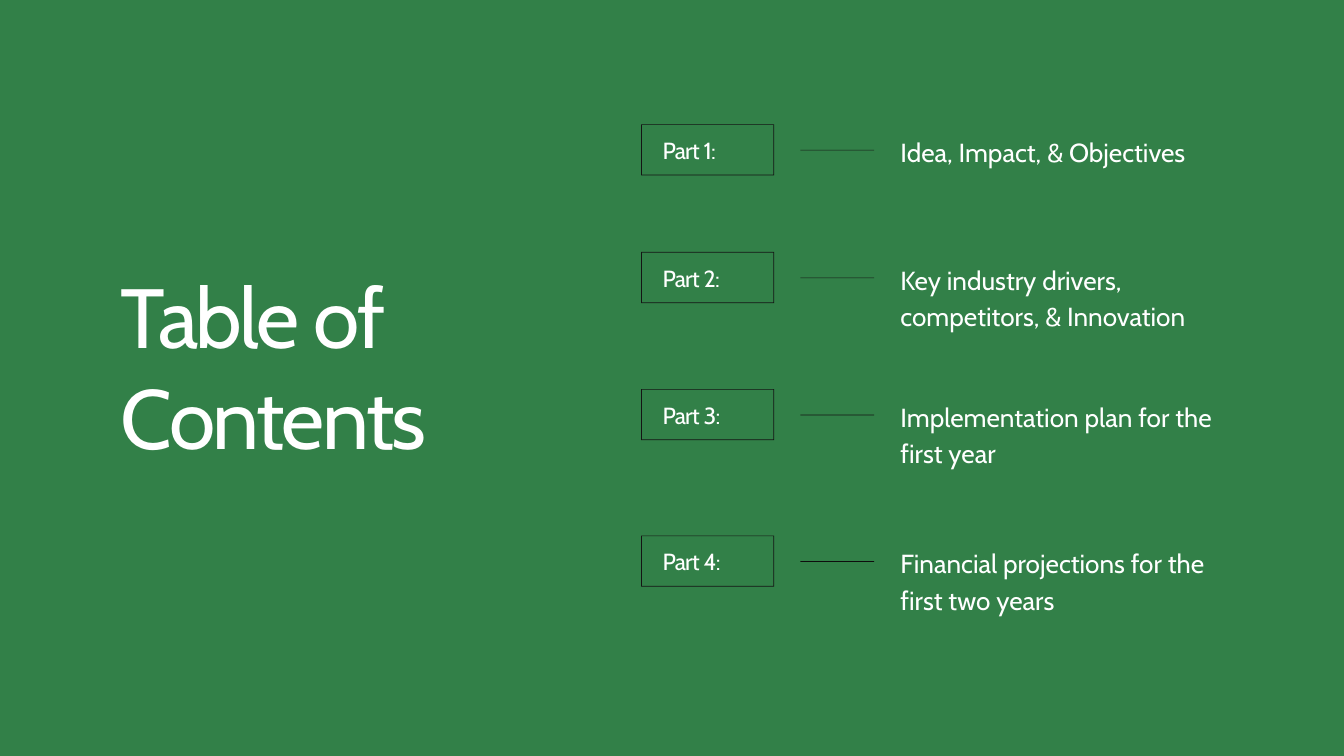
from pptx import Presentation
from pptx.dml.color import RGBColor
from pptx.enum.shapes import MSO_SHAPE
from pptx.enum.text import MSO_AUTO_SIZE
from pptx.util import Pt

PX = 9144  # EMU per px, 100 px to the inch
FONT = "Cabin"
GREEN, WHITE, INK = "328048", "FFFFFF", "141414"


def rgb(value):
    return RGBColor.from_string(value)


class Deck:
    def __init__(self, width, height, background):
        self.prs = Presentation()
        self.prs.slide_width, self.prs.slide_height = width * PX, height * PX
        self.s = self.prs.slides.add_slide(self.prs.slide_layouts[6])
        fill = self.s.background.fill
        fill.solid()
        fill.fore_color.rgb = rgb(background)

    def group(self):
        return self.s.shapes.add_group_shape().shapes

    def paint(self, sp, color):
        sp.shadow.inherit = False
        sp.fill.solid()
        sp.fill.fore_color.rgb = rgb(color)
        sp.line.fill.background()

    def text(self, shapes, x, y, w, h, words, size, leading, spacing=0):
        tf = shapes.add_textbox(x * PX, y * PX, w * PX, h * PX).text_frame
        tf.word_wrap = True
        tf.auto_size = MSO_AUTO_SIZE.SHAPE_TO_FIT_TEXT
        tf.margin_left = tf.margin_top = tf.margin_right = tf.margin_bottom = 0
        p = tf.paragraphs[0]
        p.line_spacing = Pt(leading)
        r = p.add_run()
        r.text = words
        r.font.name, r.font.size = FONT, Pt(size)
        r.font.color.rgb = rgb(WHITE)
        if spacing:
            r._r.get_or_add_rPr().set("spc", str(round(spacing * 100)))

    def frame(self, shapes, x, y, w, h, color):
        # The inner contour runs the other way round, so it cuts a hole
        right, bottom = x + w, y + h
        fb = shapes.build_freeform(x, y, scale=PX)
        fb.add_line_segments([(x, bottom), (right, bottom), (right, y)])
        fb.move_to(right - 1, bottom - 1)
        fb.add_line_segments([(x + 1, bottom - 1), (x + 1, y + 1), (right - 1, y + 1)])
        self.paint(fb.convert_to_shape(), color)

    def rule(self, shapes, x, y, w, color):
        sp = shapes.add_shape(MSO_SHAPE.RECTANGLE, x * PX, y * PX, w * PX, PX)
        self.paint(sp, color)


# Top of each row, height of its description, colour of its rule, wording
PARTS = [
    (185, 52, INK, "Idea, Impact, & Objectives"),
    (375, 106, INK, "Key industry drivers, competitors, & Innovation"),
    (579, 106, INK, "Implementation plan for the first year"),
    (797, 106, "0D0D0D", "Financial projections for the first two years"),
]


def main():
    deck = Deck(2000, 1125, GREEN)

    # Title
    deck.text(deck.s.shapes, 180, 394, 572, 301, "Table of Contents", 90, 108, -2.7)

    # One group per part: framed label, rule, description
    for number, (top, height, rule_color, description) in enumerate(PARTS, 1):
        row = deck.group()
        deck.frame(row, 954, top, 198, 76, INK)
        deck.text(row, 986, top + 14, 134, 45, f"Part {number}:", 25, 32.5, -0.8)
        deck.rule(row, 1191, top + 38, 110, rule_color)
        deck.text(row, 1340, top + 10, 498, height, description, 28, 39.2)

    deck.prs.save("out.pptx")


if __name__ == "__main__":
    main()
